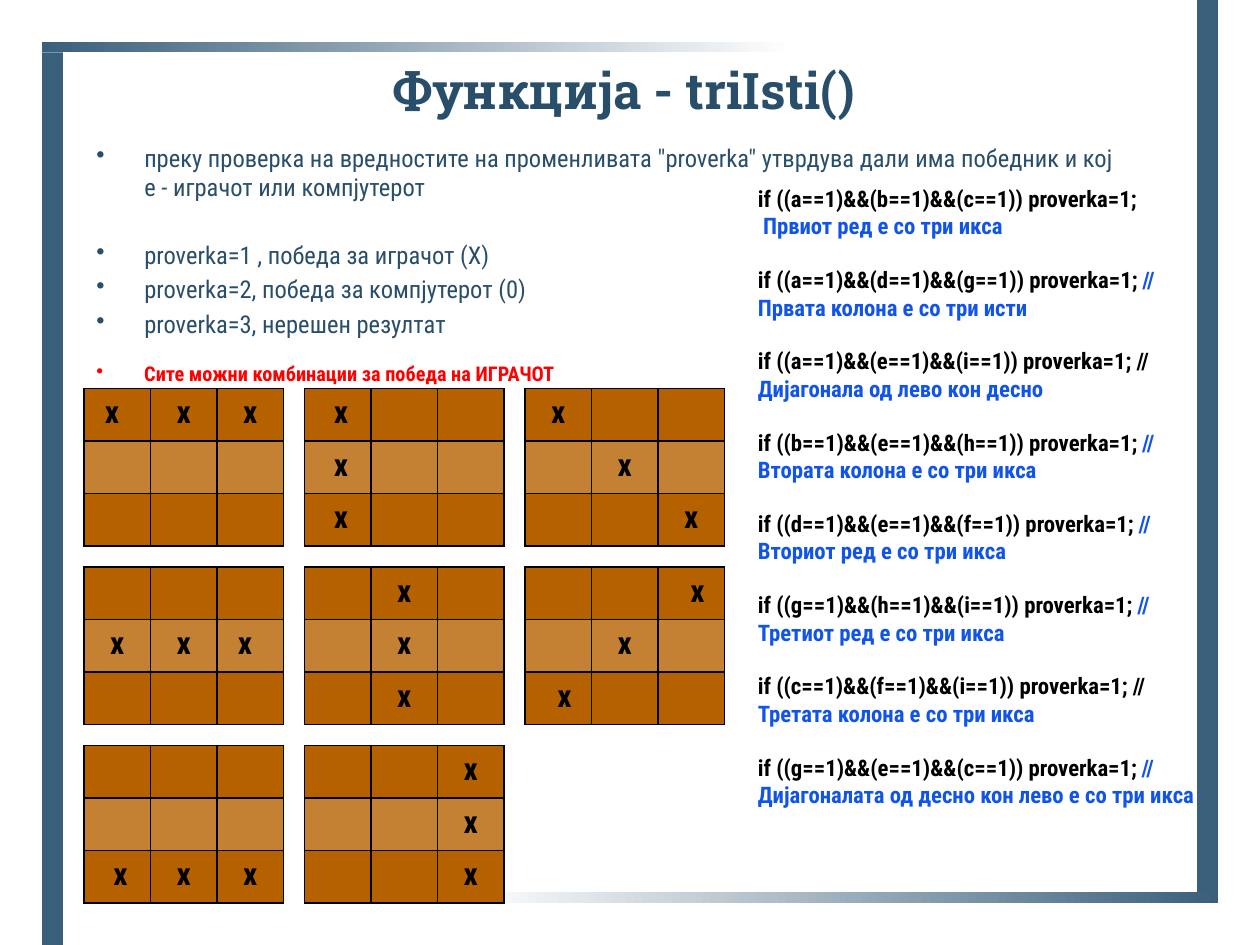
from lxml.etree import SubElement
from pptx import Presentation
from pptx.dml.color import RGBColor
from pptx.enum.shapes import MSO_SHAPE as Shape
from pptx.enum.text import MSO_ANCHOR as Anchor, PP_ALIGN as Align
from pptx.oxml.ns import qn
from pptx.util import Inches, Pt

COLORS = {
    "frame": "3A5F7B", "white": "FFFFFF", "text": "284E6A", "alert": "FF0000",
    "code": "000000", "comment": "1154E9", "border": "000000",
    "cell": "B56100", "band": "C48134",
}
COLUMNS, ROWS = 120, 90
BODY_FONT, TITLE_FONT = "Roboto Condensed", "Roboto Slab"

BULLETS = [
    ('преку проверка на вредностите на променливата "proverka" утврдува дали има победник и кој '
     'е - играчот или компјутерот', 2.8),
    ("proverka=1 , победа за играчот (X)", 22),
    ("proverka=2, победа за компјутерот (0)", 2.8),
    ("proverka=3, нерешен резултат", 2.8),
]

CHECKS = [
    ("abc", "", ""),
    ("adg", " ", "// Првата колона е со три исти"),
    ("aei", " // ", "Дијагонала од лево кон десно"),
    ("beh", " ", "// Втората колона е со три икса"),
    ("def", " ", "// Вториот ред е со три икса"),
    ("ghi", " ", "// Третиот ред е со три икса"),
    ("cfi", " // ", "Третата колона е со три икса"),
    ("gec", " ", "// Дијагоналата од десно кон лево е со три икса"),
]

BOARDS = [
    [{(0, 0): -0.5, (0, 1): 0, (0, 2): 0},
     {(0, 0): 0.3, (1, 0): 0.3, (2, 0): 0.3},
     {(0, 0): 0, (1, 1): 0, (2, 2): 0}],
    [{(1, 0): 0, (1, 1): 0, (1, 2): -0.5},
     {(0, 1): 0, (1, 1): 0, (2, 1): 0},
     {(0, 2): 0.6, (1, 1): 0, (2, 0): 0.6}],
    [{(2, 0): 0.3, (2, 1): 0, (2, 2): 0},
     {(0, 2): 0, (1, 2): 0, (2, 2): 0}],
]


def color(name):
    return RGBColor.from_string(COLORS[name])


def apply(target, **values):
    for name, value in values.items():
        setattr(target, name, value)


class SlideBuilder:
    def __init__(self, presentation):
        self.slide = presentation.slides.add_slide(presentation.slide_layouts[6])
        self.column = presentation.slide_width / COLUMNS
        self.row = presentation.slide_height / ROWS

    def box(self, left, top, width, height):
        return (round(left * self.column), round(top * self.row),
                round(width * self.column), round(height * self.row))

    def bar(self, *place, fade_angle=None):
        shape = self.slide.shapes.add_shape(Shape.RECTANGLE, *self.box(*place))
        shape.shadow.inherit = False
        shape.line.fill.background()
        if fade_angle is None:
            shape.fill.solid()
            shape.fill.fore_color.rgb = color("frame")
            return
        shape.fill.gradient()
        shape.fill.gradient_angle = fade_angle
        stops = zip(shape.fill.gradient_stops, ("frame", "white"), (0, 0.65))
        for stop, name, position in stops:
            stop.color.rgb = color(name)
            stop.position = position

    def text_frame(self, *place, **values):
        frame = self.slide.shapes.add_textbox(*self.box(*place)).text_frame
        apply(frame, word_wrap=True, **values)
        return frame

    def paragraph(self, frame, runs, size, font=BODY_FONT, bold=False, bullet=False, **values):
        first = frame.paragraphs[0]
        paragraph = frame.add_paragraph() if first.runs else first
        apply(paragraph, **values)
        if bullet:
            properties = paragraph._p.get_or_add_pPr()
            properties.set("marL", str(Inches(0.38)))
            properties.set("indent", str(-Inches(0.38)))
            SubElement(properties, qn("a:buChar"), char="•")
        for text, name in runs:
            run = paragraph.add_run()
            run.text = text
            apply(run.font, name=font, size=Pt(size), bold=bold)
            run.font.color.rgb = color(name)

    def border(self, cell):
        properties = cell._tc.get_or_add_tcPr()
        for index, side in enumerate(("lnL", "lnR", "lnT", "lnB")):
            line = properties.makeelement(qn(f"a:{side}"), {"w": str(Pt(1))})
            fill = SubElement(line, qn("a:solidFill"))
            SubElement(fill, qn("a:srgbClr"), val=COLORS["border"])
            properties.insert(index, line)

    def board(self, left, top, marks, side=3):
        place = self.box(left, top, 19, 15)
        table = self.slide.shapes.add_table(side, side, *place).table
        apply(table, first_row=False, horz_banding=False)
        for index in range(side):
            table.columns[index].width = round(place[2] / side)
            table.rows[index].height = round(place[3] / side)
        for row in range(side):
            for column in range(side):
                cell = table.cell(row, column)
                cell.fill.solid()
                cell.fill.fore_color.rgb = color("band" if row == 1 else "cell")
                self.border(cell)
                if (row, column) in marks:
                    nudge = round(marks[row, column] * self.column)
                    apply(cell, margin_left=Inches(0.1) + nudge, margin_right=Inches(0.1) - nudge)
                    self.paragraph(cell.text_frame, [("x", "code")], 18, bold=True,
                                   alignment=Align.CENTER)


def main():
    presentation = Presentation()
    apply(presentation, slide_width=Inches(10), slide_height=Inches(7.5))
    builder = SlideBuilder(presentation)

    builder.bar(114, 0, 2, 85)
    builder.bar(4, 5, 2, 85)
    builder.bar(6, 85, 110, 1, fade_angle=180)
    builder.bar(4, 4, 110, 1, fade_angle=0)

    title = builder.text_frame(7, 6, 106, 6, vertical_anchor=Anchor.BOTTOM)
    builder.paragraph(title, [("Функција - triIsti() ", "text")], 28.8, TITLE_FONT, True,
                      alignment=Align.CENTER)

    body = builder.text_frame(8, 13, 100, 19)
    for text, gap in BULLETS:
        builder.paragraph(body, [(text, "text")], 14, bullet=True, space_before=Pt(gap))

    heading = builder.text_frame(8, 32, 73, 5, vertical_anchor=Anchor.BOTTOM,
                                 margin_bottom=Inches(0.02))
    builder.paragraph(heading, [("Сите можни комбинации за победа на ИГРАЧОТ", "alert")], 11.6,
                      bold=True, bullet=True)

    for row, boards in enumerate(BOARDS):
        for column, marks in enumerate(boards):
            builder.board(8 + 21 * column, 37 + 17 * row, marks)

    checks = builder.text_frame(71, 17, 46, 66.8)
    for index, (cells, joint, comment) in enumerate(CHECKS):
        condition = "&&".join(f"({cell}==1)" for cell in cells)
        runs = [(f"if ({condition}) proverka=1;{joint}", "code")]
        if comment:
            runs.append((comment, "comment"))
        builder.paragraph(checks, runs, 13, bold=True, space_before=Pt(15.2 if index else 0))
        if not comment:
            builder.paragraph(checks, [(" Првиот ред е со три икса", "comment")], 13, bold=True)

    presentation.save("out.pptx")


if __name__ == "__main__":
    main()
